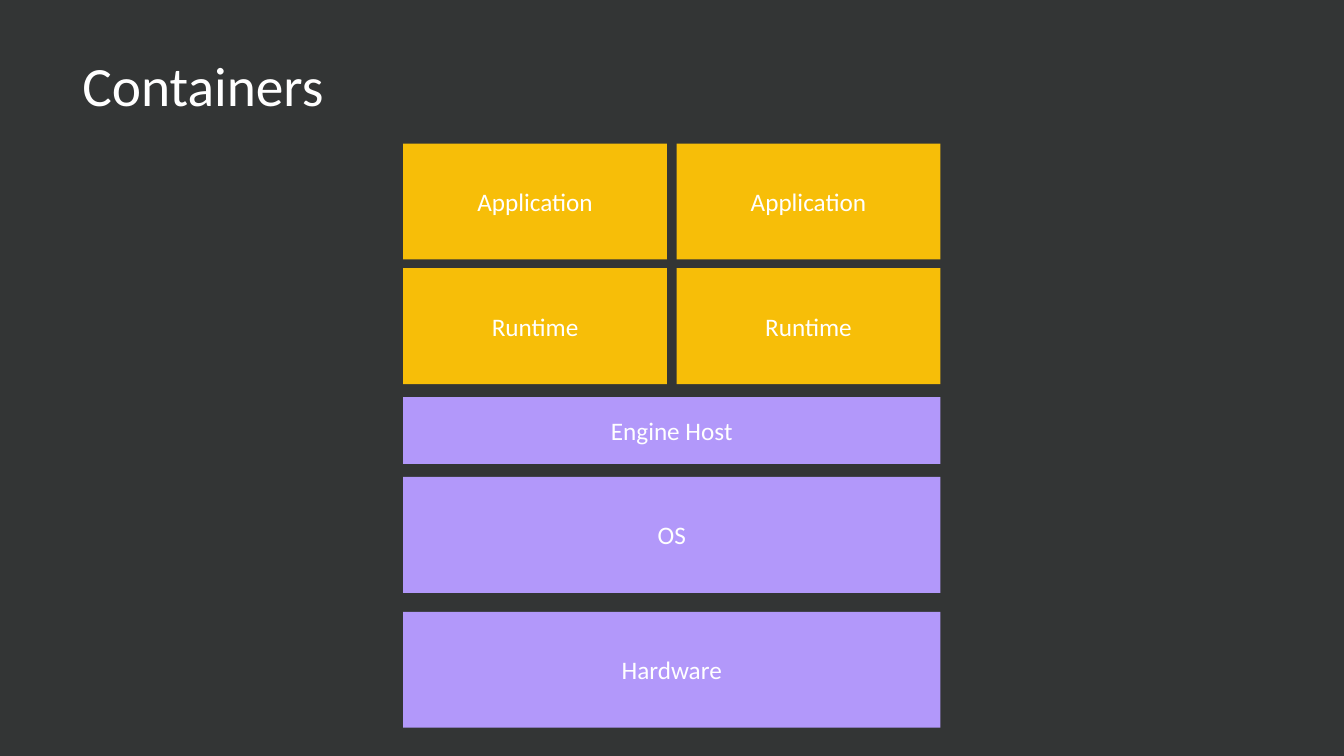
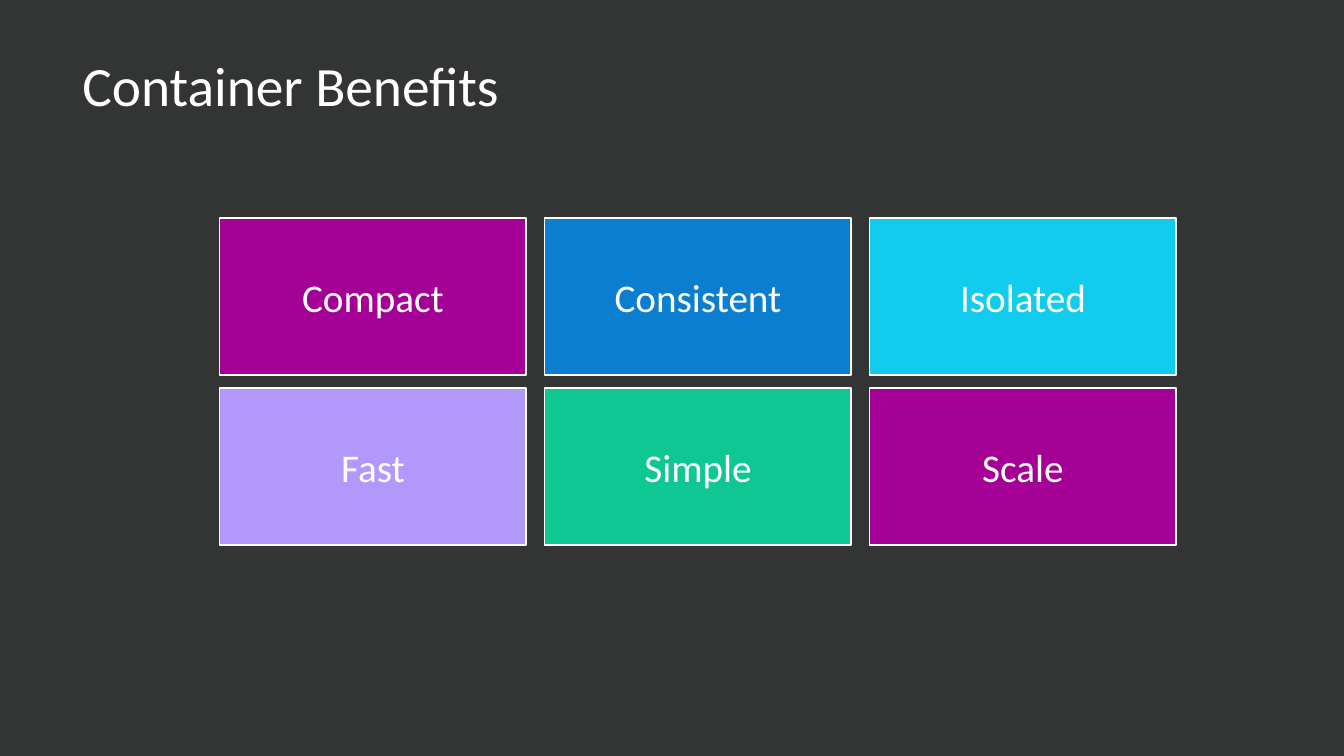
from pptx import Presentation
from pptx import util as u
from pptx.dml.color import RGBColor
from pptx.enum import shapes, text

CHARCOAL = RGBColor(0x33, 0x35, 0x35)
WHITE = RGBColor(0xFF, 0xFF, 0xFF)
LAVENDER = RGBColor(0xB2, 0x98, 0xFA)
AMBER = RGBColor(0xF7, 0xBE, 0x08)
MAGENTA = RGBColor(0xA5, 0x00, 0x96)
BLUE = RGBColor(0x0B, 0x7E, 0xCF)
CYAN = RGBColor(0x11, 0xCC, 0xED)
GREEN = RGBColor(0x0E, 0xC7, 0x93)
FONT = "Calibri"
TITLE_ONLY = 5


def write(frame, wording, size, align=text.PP_ALIGN.CENTER, spacing=None):
    frame.word_wrap = True
    frame.auto_size = text.MSO_AUTO_SIZE.NONE
    frame.vertical_anchor = text.MSO_ANCHOR.MIDDLE
    para = frame.paragraphs[0]
    para.alignment = align
    para.line_spacing = spacing
    span = para.add_run()
    span.text = wording
    span.font.name = FONT
    span.font.size = u.Pt(size)
    span.font.color.rgb = WHITE


class Deck:
    def __init__(self):
        self.deck = Presentation()
        self.deck.slide_width = u.Cm(33.87)
        self.deck.slide_height = u.Cm(19.05)
        background = self.deck.slide_master.background.fill
        background.solid()
        background.fore_color.rgb = CHARCOAL
        self.page = None

    def add_page(self, heading):
        layout = self.deck.slide_layouts[TITLE_ONLY]
        self.page = self.deck.slides.add_slide(layout)
        title = self.page.shapes.title
        title.left, title.top = u.Cm(1.82), u.Cm(1.35)
        title.width, title.height = u.Cm(22.3), u.Cm(1.78)
        write(title.text_frame, heading, size=39.6,
              align=text.PP_ALIGN.LEFT, spacing=0.9)

    def add_box(self, wording, left, top, width, height, color,
                size=18, outlined=False):
        box = self.page.shapes.add_shape(
            shapes.MSO_SHAPE.RECTANGLE,
            u.Cm(left), u.Cm(top), u.Cm(width), u.Cm(height))
        box.shadow.inherit = False
        box.fill.solid()
        box.fill.fore_color.rgb = color
        if outlined:
            box.line.color.rgb = WHITE
            box.line.width = u.Pt(1)
        else:
            box.line.fill.background()
        write(box.text_frame, wording, size=size)

    def save(self):
        self.deck.save("out.pptx")


def build_containers(deck):
    deck.add_page("Containers")
    left, full_width, half_width, height = 10.16, 13.54, 6.65, 2.92
    for wording, top in (("Application", 3.62), ("Runtime", 6.76)):
        for column_left in (left, left + full_width - half_width):
            deck.add_box(wording, column_left, top, half_width, height, AMBER)
    layers = (("Engine Host", 10.01, 1.68),
              ("OS", 12.02, height),
              ("Hardware", 15.42, height))
    for wording, top, layer_height in layers:
        deck.add_box(wording, left, top, full_width, layer_height, LAVENDER)


def build_benefits(deck):
    deck.add_page("Container Benefits")
    benefits = (("Compact", MAGENTA), ("Consistent", BLUE), ("Isolated", CYAN),
                ("Fast", LAVENDER), ("Simple", GREEN), ("Scale", MAGENTA))
    for index, (wording, color) in enumerate(benefits):
        row, column = divmod(index, 3)
        deck.add_box(wording, 5.54 + column * 8.19, 5.49 + row * 4.29,
                     7.72, 3.96, color, size=28, outlined=True)


deck = Deck()
build_containers(deck)
build_benefits(deck)
deck.save()
